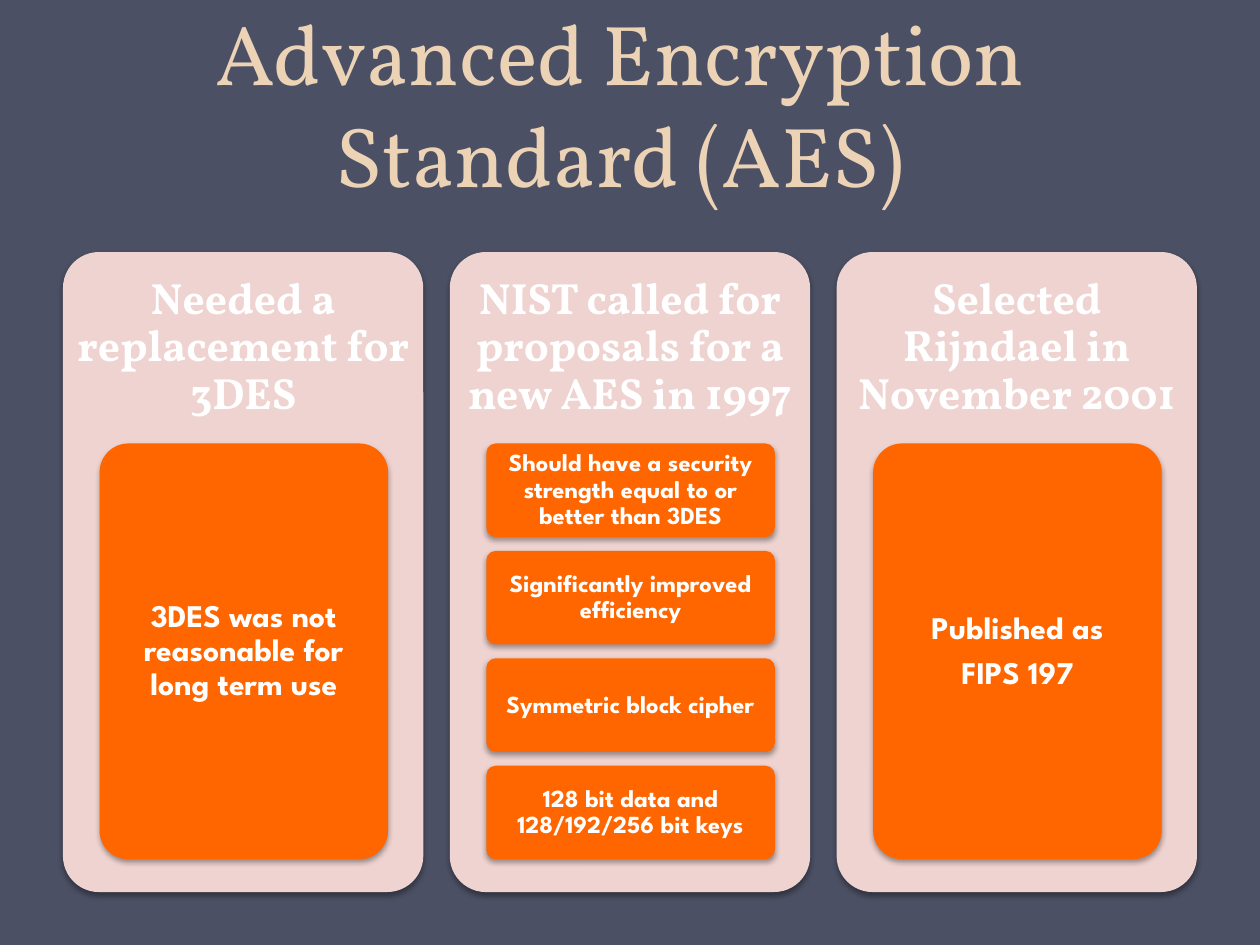
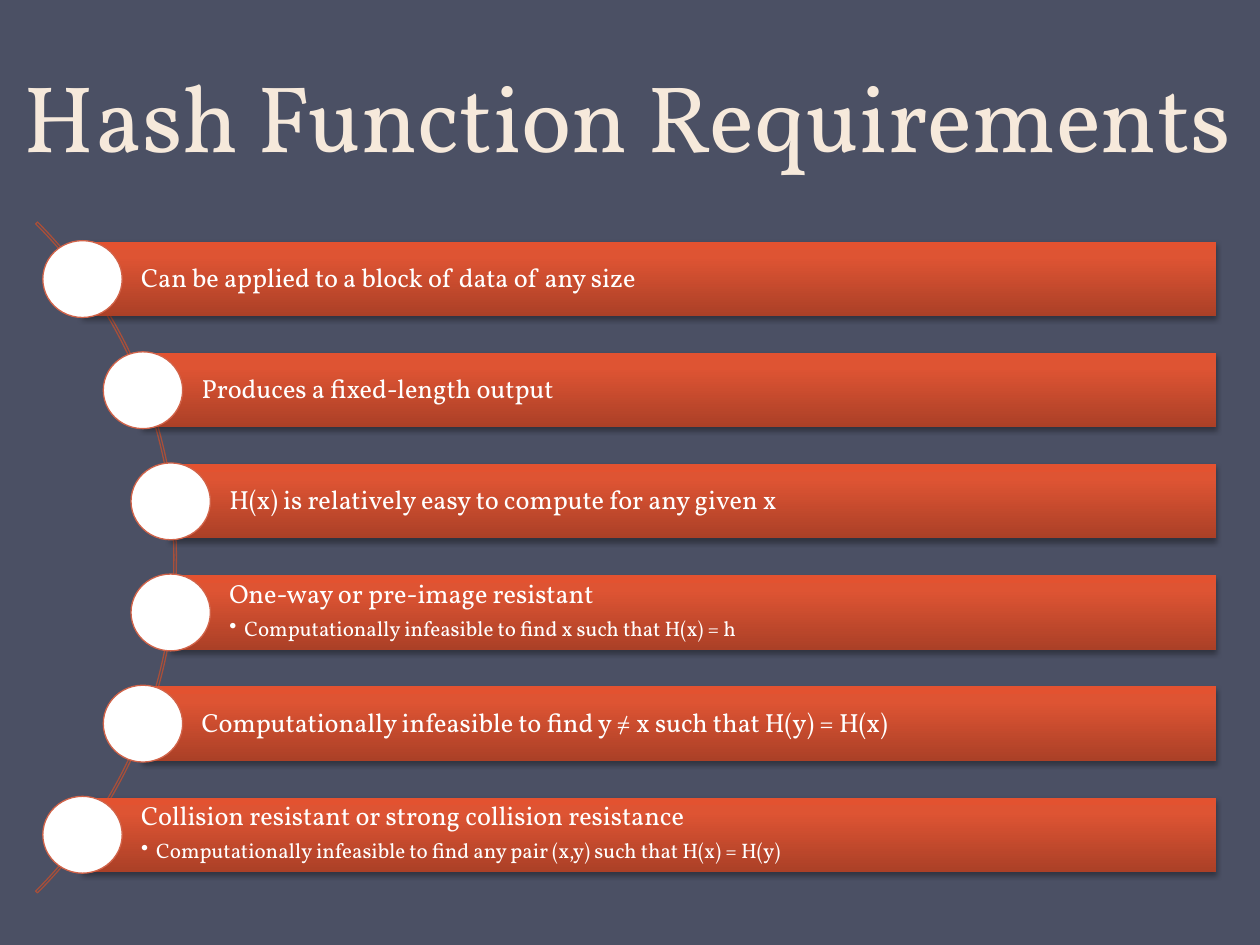
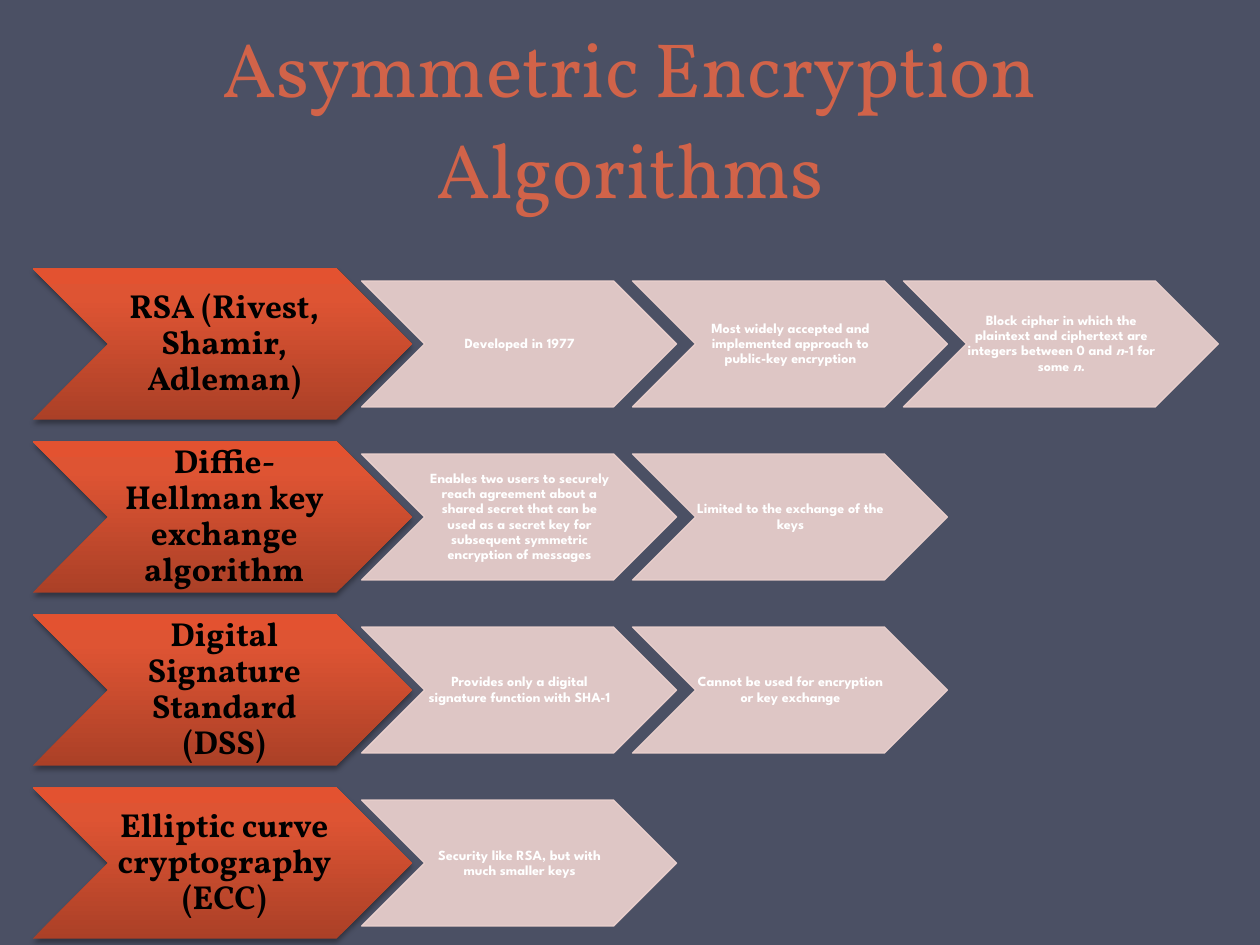
from lxml.etree import SubElement
from pptx import Presentation
from pptx.dml.color import RGBColor
from pptx.enum.shapes import MSO_SHAPE
from pptx.enum.text import MSO_ANCHOR, MSO_AUTO_SIZE, PP_ALIGN
from pptx.oxml.ns import qn
from pptx.util import Inches, Pt

SLATE = RGBColor(0x4B, 0x50, 0x64)
SAND = RGBColor(0xED, 0xD3, 0xB6)
CREAM = RGBColor(0xF6, 0xE9, 0xDB)
RUST = RGBColor(0xD1, 0x63, 0x49)
DARK_RUST = RGBColor(0xA7, 0x4F, 0x3A)
GOLD = RGBColor(0xCC, 0x99, 0x00)
BLUSH = RGBColor(0xEE, 0xD3, 0xD0)
ORANGE = RGBColor(0xFF, 0x66, 0x00)
WHITE = RGBColor(0xFF, 0xFF, 0xFF)
BLACK = RGBColor(0, 0, 0)
EMBER = [(0, RGBColor(0xAB, 0x40, 0x27)),
         (80, RGBColor(0xDE, 0x54, 0x33)),
         (100, RGBColor(0xE3, 0x52, 0x30))]
SERIF = "Vollkorn"
SANS = "League Spartan"

AES_COLUMNS = [
    ("Needed a replacement for 3DES",
     [["3DES was not reasonable for long term use"]]),
    ("NIST called for proposals for a new AES in 1997",
     [["Should have a security strength equal to or better than 3DES"],
      ["Significantly improved efficiency"],
      ["Symmetric block cipher"],
      ["128 bit data and 128/192/256 bit keys"]]),
    ("Selected Rijndael in November 2001",
     [["Published as", "FIPS 197"]]),
]
REQUIREMENTS = [
    (0.65, "Can be applied to a block of data of any size", None),
    (1.13, "Produces a fixed-length output", None),
    (1.35, "H(x) is relatively easy to compute for any given x", None),
    (1.35, "One-way or pre-image resistant",
     "Computationally infeasible to find x such that H(x) = h"),
    (1.13, "Computationally infeasible to find y ≠ x such that H(y) = H(x)", None),
    (0.65, "Collision resistant or strong collision resistance",
     "Computationally infeasible to find any pair (x,y) such that H(x) = H(y)"),
]
ALGORITHMS = [
    ("RSA (Rivest, Shamir, Adleman)",
     ["Developed in 1977",
      "Most widely accepted and implemented approach to public-key encryption",
      [("Block cipher in which the plaintext and ciphertext are integers "
        "between 0 and ", False), ("n", True), ("-1 for some ", False),
       ("n", True), (".", False)]]),
    ("Diffie-Hellman key exchange algorithm",
     ["Enables two users to securely reach agreement about a shared secret that "
      "can be used as a secret key for subsequent symmetric encryption of messages",
      "Limited to the exchange of the keys"]),
    ("Digital Signature Standard (DSS)",
     ["Provides only a digital signature function with SHA-1",
      "Cannot be used for encryption or key exchange"]),
    ("Elliptic curve cryptography (ECC)",
     ["Security like RSA, but with much smaller keys"]),
]


def write(paragraph, content, size, color, font=SERIF, bold=False,
          align=PP_ALIGN.CENTER, spacing=0.9, after=0, bullet=None):
    if bullet:
        properties = paragraph._p.get_or_add_pPr()
        properties.set("marL", str(Inches(0.12)))
        properties.set("indent", str(-Inches(0.12)))
        SubElement(properties, qn("a:buChar"), char=bullet)
    paragraph.alignment = align
    paragraph.line_spacing = spacing
    paragraph.space_after = Pt(after)
    pieces = [(content, False)] if isinstance(content, str) else content
    for words, italic in pieces:
        run = paragraph.add_run()
        run.text = words
        run.font.name = font
        run.font.size = Pt(size)
        run.font.bold = bold
        run.font.italic = italic
        run.font.color.rgb = color


def set_frame(frame, insets, anchor=MSO_ANCHOR.MIDDLE):
    frame.word_wrap = True
    frame.auto_size = MSO_AUTO_SIZE.NONE
    frame.vertical_anchor = anchor
    left, top, right, bottom = (Inches(inset) for inset in insets)
    frame.margin_left, frame.margin_top = left, top
    frame.margin_right, frame.margin_bottom = right, bottom
    return frame


def set_alpha(block, percent):
    for color in list(block._element.spPr.iter(qn("a:srgbClr"))):
        SubElement(color, qn("a:alpha"), val=str(percent * 1000))


def add_shadow(shape):
    effects = shape._element.spPr.find(qn("a:effectLst"))
    shadow = SubElement(effects, qn("a:outerShdw"), blurRad=str(Pt(3.1)),
                        dist=str(Pt(1.8)), dir="5400000", rotWithShape="0")
    color = SubElement(shadow, qn("a:srgbClr"), val=str(BLACK))
    SubElement(color, qn("a:alpha"), val="35000")


def fill_ember(shape):
    shape.fill.gradient()
    shape.fill.gradient_angle = 90
    stops = next(shape._element.spPr.iter(qn("a:gsLst")))
    for stop in list(stops):
        stops.remove(stop)
    for position, color in EMBER:
        stop = SubElement(stops, qn("a:gs"), pos=str(position * 1000))
        SubElement(stop, qn("a:srgbClr"), val=str(color))


def add_block(slide, kind, box, fill=None, line=None, shadow=False):
    block = slide.shapes.add_shape(kind, *(Inches(length) for length in box))
    block.shadow.inherit = False
    if fill is EMBER:
        fill_ember(block)
    elif fill is None:
        block.fill.background()
    else:
        block.fill.solid()
        block.fill.fore_color.rgb = fill
    if line is None:
        block.line.fill.background()
    else:
        block.line.color.rgb = line
        block.line.width = Pt(0.75)
    if shadow:
        add_shadow(block)
    return block


def add_titled_slide(deck, heading, box, size, color):
    slide = deck.slides.add_slide(deck.slide_layouts[5])
    title = slide.shapes.title
    title.left, title.top, title.width, title.height = map(Inches, box)
    frame = set_frame(title.text_frame, (0.1, 0.05, 0.1, 0.05), MSO_ANCHOR.BOTTOM)
    write(frame.paragraphs[0], heading, size, color, spacing=Pt(58))
    return slide


def outline_title(slide, color):
    run = slide.shapes.title.text_frame.paragraphs[0].runs[0]
    properties = run._r.get_or_add_rPr()
    outline = SubElement(properties, qn("a:ln"), w=str(Pt(0.75)))
    SubElement(SubElement(outline, qn("a:solidFill")), qn("a:srgbClr"), val=str(color))
    properties.insert(0, outline)


def add_card(slide, box, lines, size, insets):
    card = add_block(slide, MSO_SHAPE.ROUNDED_RECTANGLE, box, ORANGE, shadow=True)
    card.adjustments[0] = 0.1
    frame = set_frame(card.text_frame, insets)
    for index, words in enumerate(lines):
        paragraph = frame.add_paragraph() if index else frame.paragraphs[0]
        write(paragraph, words, size, WHITE, font=SANS, bold=True, after=0.35 * size)


def add_column(slide, left, heading, cards):
    top, width, heading_height = 2, 2.86, 1.52
    panel = add_block(slide, MSO_SHAPE.ROUNDED_RECTANGLE, (left, top, width, 5.08),
                      BLUSH, shadow=True)
    panel.adjustments[0] = 0.1
    label = slide.shapes.add_textbox(Inches(left), Inches(top),
                                     Inches(width), Inches(heading_height))
    frame = set_frame(label.text_frame, (0.1, 0.1, 0.1, 0.1))
    write(frame.paragraphs[0], heading, 25, WHITE, bold=True)
    gap, stack_height = 0.11, 3.3
    height = (stack_height - gap * (len(cards) - 1)) / len(cards)
    size, insets = ((18, (0.05, 0.04, 0.05, 0.04)) if len(cards) == 1
                    else (14, (0.04, 0.03, 0.04, 0.03)))
    for index, lines in enumerate(cards):
        card_top = top + heading_height + index * (height + gap)
        add_card(slide, (left + 0.29, card_top, 2.29, height), lines, size, insets)


def add_requirement(slide, left, top, statement, detail):
    bar = add_block(slide, MSO_SHAPE.RECTANGLE, (left, top, 9.65 - left, 0.59),
                    EMBER, shadow=True)
    anchor = MSO_ANCHOR.TOP if detail else MSO_ANCHOR.MIDDLE
    frame = set_frame(bar.text_frame, (0.47, 0.04, 0.04, 0.04), anchor)
    write(frame.paragraphs[0], statement, 15, WHITE, align=PP_ALIGN.LEFT, after=5.25)
    if detail:
        write(frame.add_paragraph(), detail, 12, WHITE, align=PP_ALIGN.LEFT, bullet="•")
    add_block(slide, MSO_SHAPE.OVAL, (left - 0.31, top - 0.01, 0.63, 0.61), WHITE, RUST)


def add_algorithm(slide, top, name, facts):
    head = add_block(slide, MSO_SHAPE.CHEVRON, (0.26, top, 3.01, 1.2), EMBER, shadow=True)
    frame = set_frame(head.text_frame, (0.03, 0.01, 0, 0.01))
    write(frame.paragraphs[0], name, 19, BLACK, bold=True)
    for index, fact in enumerate(facts):
        step = add_block(slide, MSO_SHAPE.CHEVRON,
                         (2.87 + 2.15 * index, top + 0.1, 2.5, 1), BLUSH, BLUSH)
        set_alpha(step, 90)
        frame = set_frame(step.text_frame, (0.01, 0.01, 0, 0.01))
        write(frame.paragraphs[0], fact, 8, WHITE, font=SANS, bold=True)


def build_aes(deck):
    slide = add_titled_slide(deck, "Advanced Encryption Standard (AES)",
                             (0.42, 0, 9, 1.67), 48.6, SAND)
    for index, (heading, cards) in enumerate(AES_COLUMNS):
        add_column(slide, 0.5 + 3.07 * index, heading, cards)


def build_hash(deck):
    slide = add_titled_slide(deck, "Hash Function Requirements",
                             (-0.04, -0.34, 10.04, 1.75), 54, CREAM)
    diameter, thickness = 7.53, 0.02
    arc = add_block(slide, MSO_SHAPE.BLOCK_ARC, (-6.13, 0.66, diameter, diameter),
                    line=DARK_RUST)
    for index, value in enumerate((189, 27, thickness / diameter)):
        arc.adjustments[index] = value
    pitch = (6.33 - 1.92) / (len(REQUIREMENTS) - 1)
    for index, (left, statement, detail) in enumerate(REQUIREMENTS):
        add_requirement(slide, left, 1.92 + pitch * index, statement, detail)


def build_asymmetric(deck):
    slide = add_titled_slide(deck, "Asymmetric Encryption Algorithms",
                             (0.5, 0, 9, 1.75), 44, RUST)
    outline_title(slide, GOLD)
    pitch = (6.25 - 2.13) / (len(ALGORITHMS) - 1)
    for index, (name, facts) in enumerate(ALGORITHMS):
        add_algorithm(slide, 2.13 + pitch * index, name, facts)


def main():
    deck = Presentation()
    deck.slide_width, deck.slide_height = Inches(10), Inches(7.5)
    background = deck.slide_master.background.fill
    background.solid()
    background.fore_color.rgb = SLATE
    build_aes(deck)
    build_hash(deck)
    build_asymmetric(deck)
    deck.save("out.pptx")


if __name__ == "__main__":
    main()
